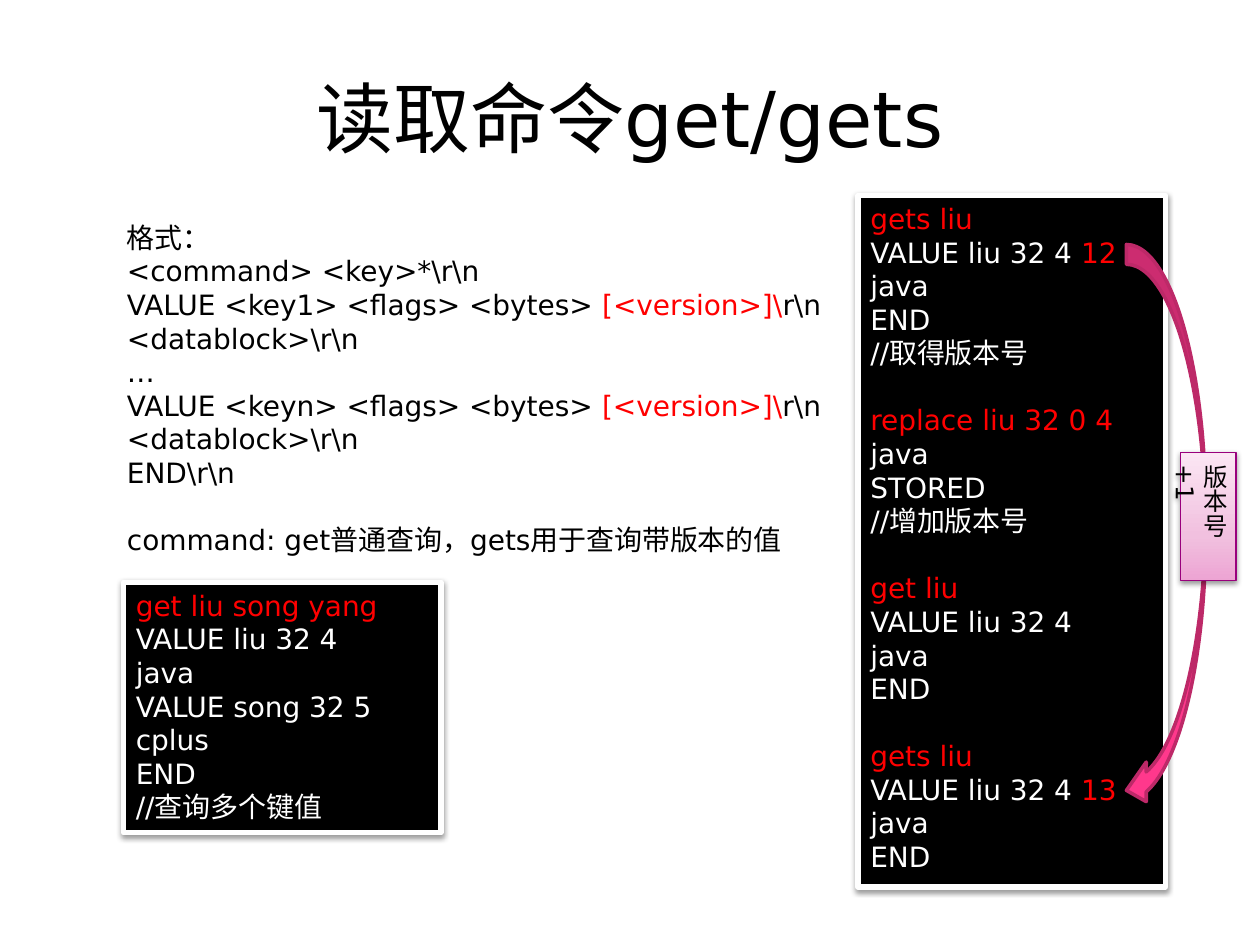
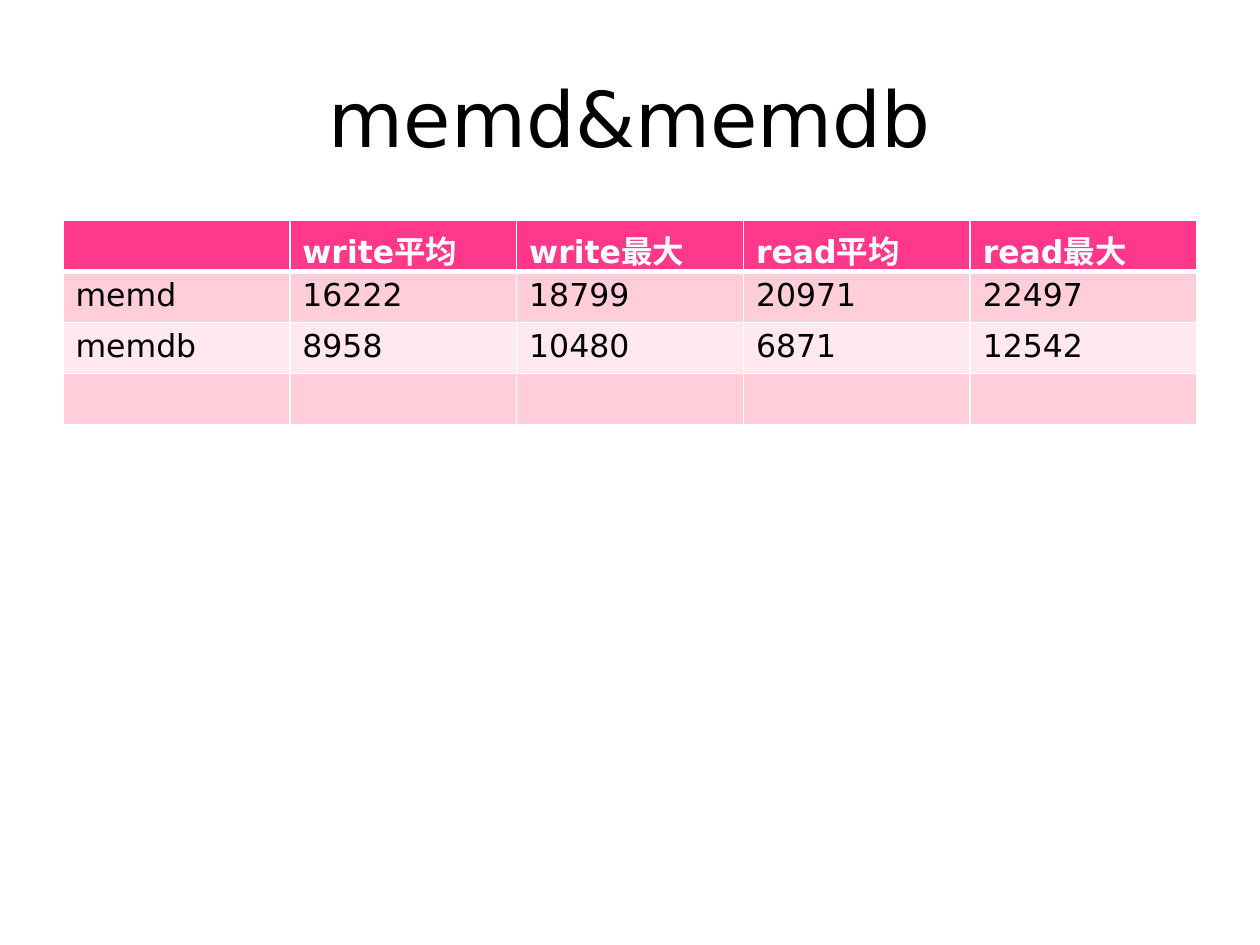
import copy

import pptx
import pptx.dml.color
import pptx.enum.shapes
import pptx.enum.text
import pptx.oxml
import pptx.oxml.ns
import pptx.util

RGBColor = pptx.dml.color.RGBColor
MSO_SHAPE = pptx.enum.shapes.MSO_SHAPE
MSO_ANCHOR = pptx.enum.text.MSO_ANCHOR
PP_ALIGN = pptx.enum.text.PP_ALIGN
Pt = pptx.util.Pt
qn = pptx.oxml.ns.qn

BLACK = RGBColor(0x00, 0x00, 0x00)
WHITE = RGBColor(0xFF, 0xFF, 0xFF)
RED = RGBColor(0xFF, 0x00, 0x00)
PINK = RGBColor(0xFF, 0x38, 0x8C)
PINK_EDGE = RGBColor(0xBD, 0x29, 0x68)
PURPLE = RGBColor(0x99, 0x00, 0x7C)
BANDS = [RGBColor(0xFF, 0xCE, 0xDA), RGBColor(0xFF, 0xE8, 0xEE)]
LABEL_STOPS = [
    (0, RGBColor(0xED, 0xA4, 0xD3)),
    (0.35, RGBColor(0xF1, 0xC0, 0xDF)),
    (1, RGBColor(0xFB, 0xE6, 0xF3)),
]
FONT = "DejaVu Sans"
COLUMNS, ROWS = 100, 75
LINE_GAP = Pt(19.2)
A_NS = 'xmlns:a="http://schemas.openxmlformats.org/drawingml/2006/main"'

FORMAT_TEXT = [
    [
        "格式：",
        r"<command> <key>*\r\n",
        r"VALUE <key1> <flags> <bytes> |[<version>]\|r\n",
        r"<datablock>\r\n",
        "…",
        r"VALUE <keyn> <flags> <bytes> |[<version>]\|r\n",
        r"<datablock>\r\n",
        r"END\r\n",
    ],
    ["command: get普通查询，gets用于查询带版本的值"],
]
MULTI_GET = [
    ["|get liu song yang|", "VALUE liu 32 4", "java", "VALUE song 32 5",
     "cplus", "END", "//查询多个键值"],
]
VERSION_SESSION = [
    ["|gets liu|", "VALUE liu 32 4 |12|", "java", "END", "//取得版本号"],
    ["|replace liu 32 0 4|", "java", "STORED", "//增加版本号"],
    ["|get liu|", "VALUE liu 32 4", "java", "END"],
    ["|gets liu|", "VALUE liu 32 4 |13|", "java", "END"],
]
THROUGHPUT = [
    ["", "write平均", "write最大", "read平均", "read最大"],
    ["memd", "16222", "18799", "20971", "22497"],
    ["memdb", "8958", "10480", "6871", "12542"],
    [""] * 5,
]


class Deck:
    """Holds the shared style and the current slide, and draws each kind of element."""

    def __init__(self):
        self.prs = pptx.Presentation()
        self.prs.slide_width = pptx.util.Inches(10)
        self.prs.slide_height = pptx.util.Inches(7.5)
        self.s = None

    def grid(self, left, top, width, height):
        col = self.prs.slide_width / COLUMNS
        row = self.prs.slide_height / ROWS
        return [round(n * unit) for n, unit in
                zip((left, top, width, height), (col, row, col, row))]

    def style(self, r, size, color, bold=False):
        r.font.name = FONT
        r.font.size = Pt(size)
        r.font.bold = bold
        r.font.color.rgb = color

    def slide(self, title):
        self.s = self.prs.slides.add_slide(self.prs.slide_layouts[6])
        tf = self.text([[title]], (5, 3, 90, 12.5), 44)
        tf.vertical_anchor = MSO_ANCHOR.MIDDLE
        tf.paragraphs[0].alignment = PP_ALIGN.CENTER

    def fill_text(self, tf, blocks, size, color):
        tf.word_wrap = True
        tf.vertical_anchor = MSO_ANCHOR.TOP
        p = None
        for block in blocks:
            for i, line in enumerate(block):
                gap = p is not None and i == 0
                p = tf.add_paragraph() if p is not None else tf.paragraphs[0]
                p.alignment = PP_ALIGN.LEFT
                if gap:
                    p.space_before = LINE_GAP
                for k, part in enumerate(line.split("|")):
                    if part:
                        r = p.add_run()
                        r.text = part
                        self.style(r, size, RED if k % 2 else color)
        return tf

    def text(self, blocks, at, size=16):
        sp = self.s.shapes.add_textbox(*self.grid(*at))
        return self.fill_text(sp.text_frame, blocks, size, BLACK)

    def shape(self, kind, at, fill, line, width, shadow=False):
        sp = self.s.shapes.add_shape(kind, *self.grid(*at))
        sp.fill.solid()
        sp.fill.fore_color.rgb = fill
        sp.line.color.rgb = line
        sp.line.width = Pt(width)
        sp.shadow.inherit = False
        if shadow:
            sp._element.spPr.find(qn("a:effectLst")).append(pptx.oxml.parse_xml(
                f'<a:outerShdw {A_NS} blurRad="40000" dist="20000" dir="5400000" '
                'rotWithShape="0"><a:srgbClr val="000000"><a:alpha val="38000"/>'
                '</a:srgbClr></a:outerShdw>'))
        return sp

    def console(self, blocks, at):
        sp = self.shape(MSO_SHAPE.RECTANGLE, at, BLACK, WHITE, 3, shadow=True)
        self.fill_text(sp.text_frame, blocks, 16, WHITE)

    def swoop(self, at):
        sp = self.shape(MSO_SHAPE.CURVED_UP_ARROW, at, PINK, PINK_EDGE, 2)
        sp.rotation = 90
        sp._element.spPr.find(qn("a:xfrm")).set("flipV", "1")

    def vertical_label(self, label, at):
        sp = self.shape(MSO_SHAPE.RECTANGLE, at, WHITE, PURPLE, 0.75, shadow=True)
        sp.fill.gradient()
        sp.fill.gradient_angle = 90
        stops = sp._element.spPr.find(".//" + qn("a:gsLst"))
        stops.append(copy.deepcopy(stops[-1]))
        for stop, (position, color) in zip(sp.fill.gradient_stops, LABEL_STOPS):
            stop.position = position
            stop.color.rgb = color
        tf = self.fill_text(sp.text_frame, [[label]], 14, BLACK)
        tf._txBody.bodyPr.set("vert", "eaVert")

    def border(self, cell, side, width):
        cell._tc.get_or_add_tcPr().append(pptx.oxml.parse_xml(
            f'<a:ln{side} {A_NS} w="{Pt(width)}"><a:solidFill>'
            f'<a:srgbClr val="{WHITE}"/></a:solidFill></a:ln{side}>'))

    def table(self, rows, at):
        table = self.s.shapes.add_table(len(rows), len(rows[0]), *self.grid(*at)).table
        table.first_row = table.horz_banding = False
        for i, row in enumerate(rows):
            header = i == 0
            for j, value in enumerate(row):
                cell = table.cell(i, j)
                for side in "LRTB":
                    heavy = (i, side) in ((0, "B"), (1, "T"))
                    self.border(cell, side, 3 if heavy else 1)
                cell.fill.solid()
                cell.fill.fore_color.rgb = PINK if header else BANDS[(i - 1) % 2]
                p = cell.text_frame.paragraphs[0]
                p.text = value
                for r in p.runs:
                    self.style(r, 18, WHITE if header else BLACK, header)


def main():
    deck = Deck()
    deck.slide("读取命令get/gets")
    deck.console(MULTI_GET, (9.8, 46.2, 25.2, 19.9))
    deck.console(VERSION_SESSION, (68.1, 15.5, 24.4, 54.9))
    deck.swoop((70.1, 38.7, 44.9, 6.3))
    deck.text(FORMAT_TEXT, (9.1, 17, 58.3, 27.9))
    deck.vertical_label("版本号+1", (93.7, 35.9, 4.4, 10.2))

    deck.slide("memd&memdb")
    deck.table(THROUGHPUT, (5, 17.5, 90, 16.2))
    deck.prs.save("out.pptx")


if __name__ == "__main__":
    main()
